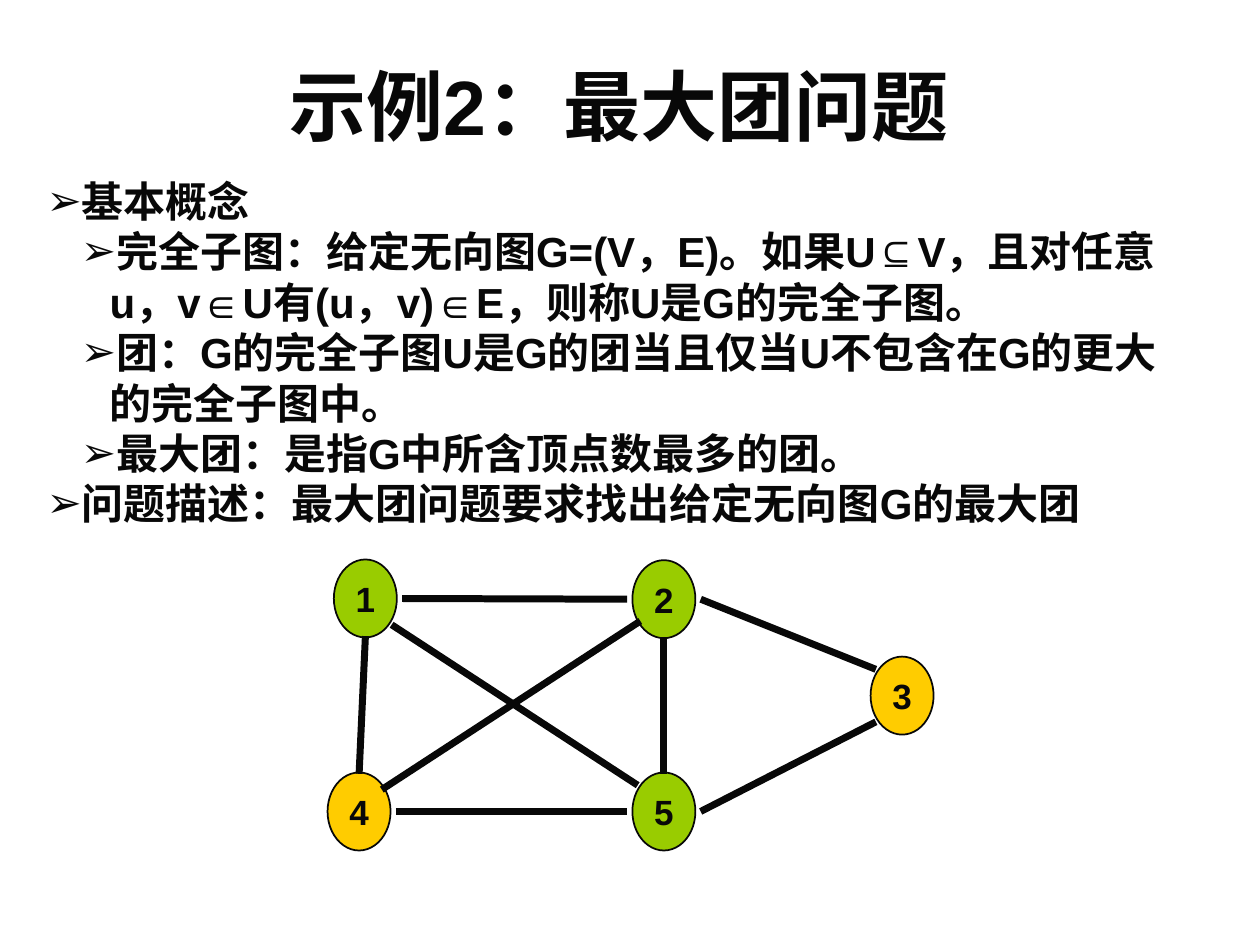
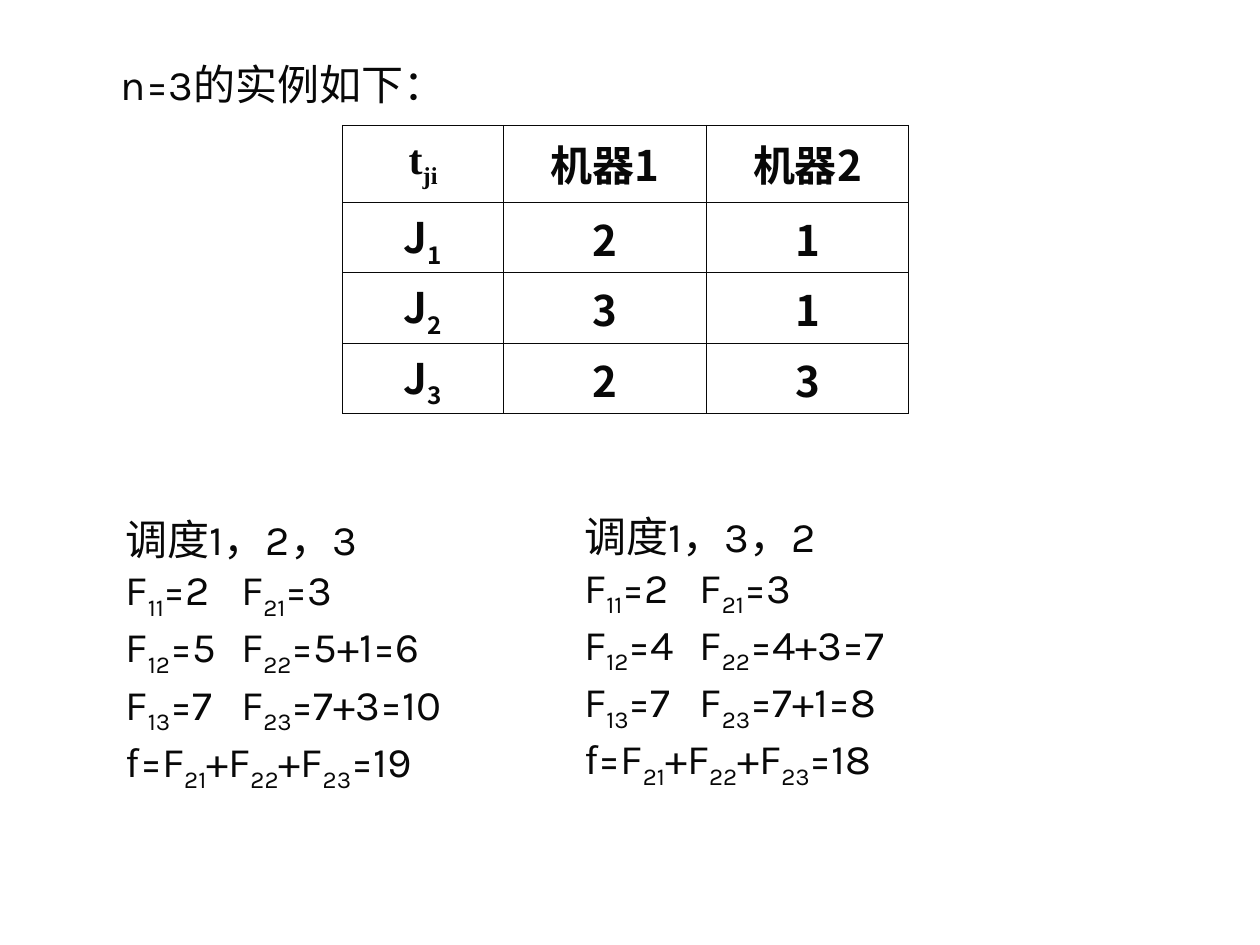
from lxml.etree import SubElement
from pptx import Presentation
from pptx.dml.color import RGBColor
from pptx.enum.shapes import MSO_CONNECTOR, MSO_SHAPE
from pptx.enum.text import MSO_ANCHOR, MSO_AUTO_SIZE, PP_ALIGN
from pptx.oxml.ns import qn
from pptx.util import Pt

COLOURS = {"ink": "080808", "clique": "99CC00", "other": "FFCC00"}
CHINESE_FONT = "Noto Sans CJK SC"
LINE = 28.8

CONCEPTS = [
    (0, "基本概念"),
    (1, "完全子图：给定无向图G=(V，E)。如果U⊆V，且对任意u，v∈U有(u，v)∈E，则称U是G的完全子图。"),
    (1, "团：G的完全子图U是G的团当且仅当U不包含在G的更大的完全子图中。"),
    (1, "最大团：是指G中所含顶点数最多的团。"),
    (0, "问题描述：最大团问题要求找出给定无向图G的最大团"),
]

# Centre of each vertex, measured from the corner of the graph
VERTICES = {
    "1": (21.6, 22.3, "clique"),
    "2": (192.2, 22.7, "clique"),
    "3": (328.3, 77.8, "other"),
    "4": (18, 144, "other"),
    "5": (192.2, 144, "clique"),
}
# Offset from a vertex centre to the end of an edge
PORTS = {
    "left": (-21, 0), "right": (21, 0), "top": (0, -21.5), "bottom": (0, 21.5),
    "upper left": (-15, -15), "lower left": (-15, 15), "lower right": (15, 15),
    "inner lower left": (-13.5, 12.5), "inner upper right": (13, -12.5),
}
EDGES = [
    ("1", "right", "2", "left"),
    ("1", "bottom", "4", "top"),
    ("4", "right", "5", "left"),
    ("5", "top", "2", "bottom"),
    ("1", "lower right", "5", "upper left"),
    ("3", "upper left", "2", "right"),
    ("5", "right", "3", "lower left"),
    ("2", "inner lower left", "4", "inner upper right"),
]

# An underscore pair marks a subscript: F_11_
TIMES = [
    ["t_ji_", "机器1", "机器2"],
    ["J_1_", "2", "1"],
    ["J_2_", "3", "1"],
    ["J_3_", "2", "3"],
]
TOTAL = "f=F_21_+F_22_+F_23_="
SCHEDULES = [
    ((64.8, 287.3, 262, 167),
     ["调度1，2，3", "F_11_=2\tF_21_=3", "F_12_=5\tF_22_=5+1=6",
      "F_13_=7\tF_23_=7+3=10", TOTAL + "19"]),
    ((326.9, 285.8, 266, 167),
     ["调度1，3，2", "F_11_=2\tF_21_=3", "F_12_=4\tF_22_=4+3=7",
      "F_13_=7\tF_23_=7+1=8", TOTAL + "18"]),
]


def colour(name):
    return RGBColor.from_string(COLOURS[name])


def add_span(para, text, size, font, bold=False):
    span = para.add_run()
    span.text = text
    span.font.size, span.font.name, span.font.bold = Pt(size), font, bold
    span.font.color.rgb = colour("ink")
    SubElement(span.font._element, qn("a:ea"), typeface=CHINESE_FONT)
    return span


def add_marked_text(para, text, size, font, bold=False):
    """Add runs, lowering the parts between underscores."""
    for index, part in enumerate(text.split("_")):
        if part:
            span = add_span(para, part, size, font, bold)
            if index % 2:
                span.font._element.set("baseline", "-25000")


def place(shape, box):
    shape.left, shape.top, shape.width, shape.height = map(Pt, box)


def each_paragraph(frame, items):
    """Yield a paragraph of the frame with every item."""
    for index, item in enumerate(items):
        yield (frame.add_paragraph() if index else frame.paragraphs[0]), item


def add_title(page, box, text):
    title = page.shapes.title
    place(title, box)
    frame = title.text_frame
    frame.vertical_anchor, frame.auto_size = MSO_ANCHOR.MIDDLE, MSO_AUTO_SIZE.NONE
    frame.paragraphs[0].alignment = PP_ALIGN.CENTER
    add_span(frame.paragraphs[0], text, 44, "Arial", True)


def add_bullet(para, level):
    properties = para._p.get_or_add_pPr()
    properties.set("marL", str(Pt(36 * level)))
    properties.set("indent", str(Pt(-16.5 * level)))
    fill = SubElement(properties, qn("a:buClr"))
    SubElement(fill, qn("a:srgbClr"), val=COLOURS["ink"])
    SubElement(properties, qn("a:buChar"), char="➢")


def add_concepts(page, box):
    body = page.placeholders[1]
    place(body, box)
    frame = body.text_frame
    frame.auto_size, frame.margin_top = MSO_AUTO_SIZE.NONE, Pt(6)
    for para, (level, text) in each_paragraph(frame, CONCEPTS):
        para.level = level
        para.line_spacing, para.space_before = Pt(LINE), Pt(0)
        add_bullet(para, level)
        add_span(para, text, 24, "Arial", True)


def add_vertex(page, label, x, y, fill):
    width, height = 36, 44.6
    vertex = page.shapes.add_shape(
        MSO_SHAPE.OVAL, Pt(x - width / 2), Pt(y - height / 2), Pt(width), Pt(height))
    vertex.shadow.inherit = False
    vertex.fill.solid()
    vertex.fill.fore_color.rgb = colour(fill)
    vertex.line.color.rgb, vertex.line.width = colour("ink"), Pt(1)
    frame = vertex.text_frame
    frame.word_wrap, frame.vertical_anchor = False, MSO_ANCHOR.MIDDLE
    frame.paragraphs[0].alignment = PP_ALIGN.CENTER
    add_span(frame.paragraphs[0], label, 20, "Arial", True)


def add_graph(page, left, top):
    def port(label, side):
        x, y, _ = VERTICES[label]
        return Pt(left + x + PORTS[side][0]), Pt(top + y + PORTS[side][1])

    for label, (x, y, fill) in VERTICES.items():
        add_vertex(page, label, left + x, top + y, fill)
    for start, start_side, end, end_side in EDGES:
        edge = page.shapes.add_connector(
            MSO_CONNECTOR.STRAIGHT, *port(start, start_side), *port(end, end_side))
        edge.line.color.rgb, edge.line.width = colour("ink"), Pt(4)
        SubElement(edge._element.spPr, qn("a:effectLst"))


def add_borders(cell):
    properties = cell._tc.get_or_add_tcPr()
    for index, side in enumerate(("lnL", "lnR", "lnT", "lnB")):
        border = properties.makeelement(qn("a:" + side), {"w": str(Pt(0.45))})
        fill = SubElement(border, qn("a:solidFill"))
        SubElement(fill, qn("a:srgbClr"), val=COLOURS["ink"])
        properties.insert(index, border)


def add_times_table(page, box):
    left, top, width, height = box
    frame = page.shapes.add_table(
        len(TIMES), len(TIMES[0]), Pt(left), Pt(top), Pt(width), Pt(height))
    table = frame.table
    table.first_row = table.horz_banding = False
    label_width, header_height = 92, 44
    for index, column in enumerate(table.columns):
        column.width = Pt((width - label_width) / 2 if index else label_width)
    for index, row in enumerate(table.rows):
        row.height = Pt((height - header_height) / 3 if index else header_height)
    for row, texts in enumerate(TIMES):
        for column, text in enumerate(texts):
            cell = table.cell(row, column)
            cell.fill.background()
            add_borders(cell)
            para = cell.text_frame.paragraphs[0]
            para.alignment = PP_ALIGN.CENTER
            if row:
                para.line_spacing = Pt(33)
                cell.margin_top = Pt(6.4 if "_" in text else 5)
                cell.margin_bottom = Pt(0.8)
            else:
                cell.vertical_anchor = MSO_ANCHOR.MIDDLE
            font = "Times New Roman" if text.startswith("t") else CHINESE_FONT
            add_marked_text(para, text, 24, font, True)


def add_lines(page, box, lines, wrap=True):
    """Add a text box whose first line is a heading in Chinese."""
    text_box = page.shapes.add_textbox(*map(Pt, box))
    frame = text_box.text_frame
    frame.word_wrap, frame.margin_top = wrap, Pt(6)
    for para, text in each_paragraph(frame, lines):
        para.line_spacing = Pt(32.75 if "_" in text else LINE)
        if "\t" in text:
            tabs = SubElement(para._p.get_or_add_pPr(), qn("a:tabLst"))
            SubElement(tabs, qn("a:tab"), pos=str(Pt(66)), algn="l")
        add_marked_text(para, text, 24, "Karla")


def build_clique_page(deck):
    page = deck.slides.add_slide(deck.slide_layouts[1])
    add_title(page, (48, 28, 612, 63.5), "示例2：最大团问题")
    add_concepts(page, (19.5, 94.3, 665, 209))
    add_graph(page, 187.2, 319.7)


def build_schedule_page(deck):
    page = deck.slides.add_slide(deck.slide_layouts[6])
    add_times_table(page, (195.8, 71.5, 323.5, 164.75))
    add_lines(page, (62, 27.4, 206, 36), ["n=3的实例如下："], wrap=False)
    for box, lines in SCHEDULES:
        add_lines(page, box, lines)


def main():
    deck = Presentation()
    deck.slide_width, deck.slide_height = Pt(720), Pt(540)
    build_clique_page(deck)
    build_schedule_page(deck)
    deck.save("out.pptx")


if __name__ == "__main__":
    main()
